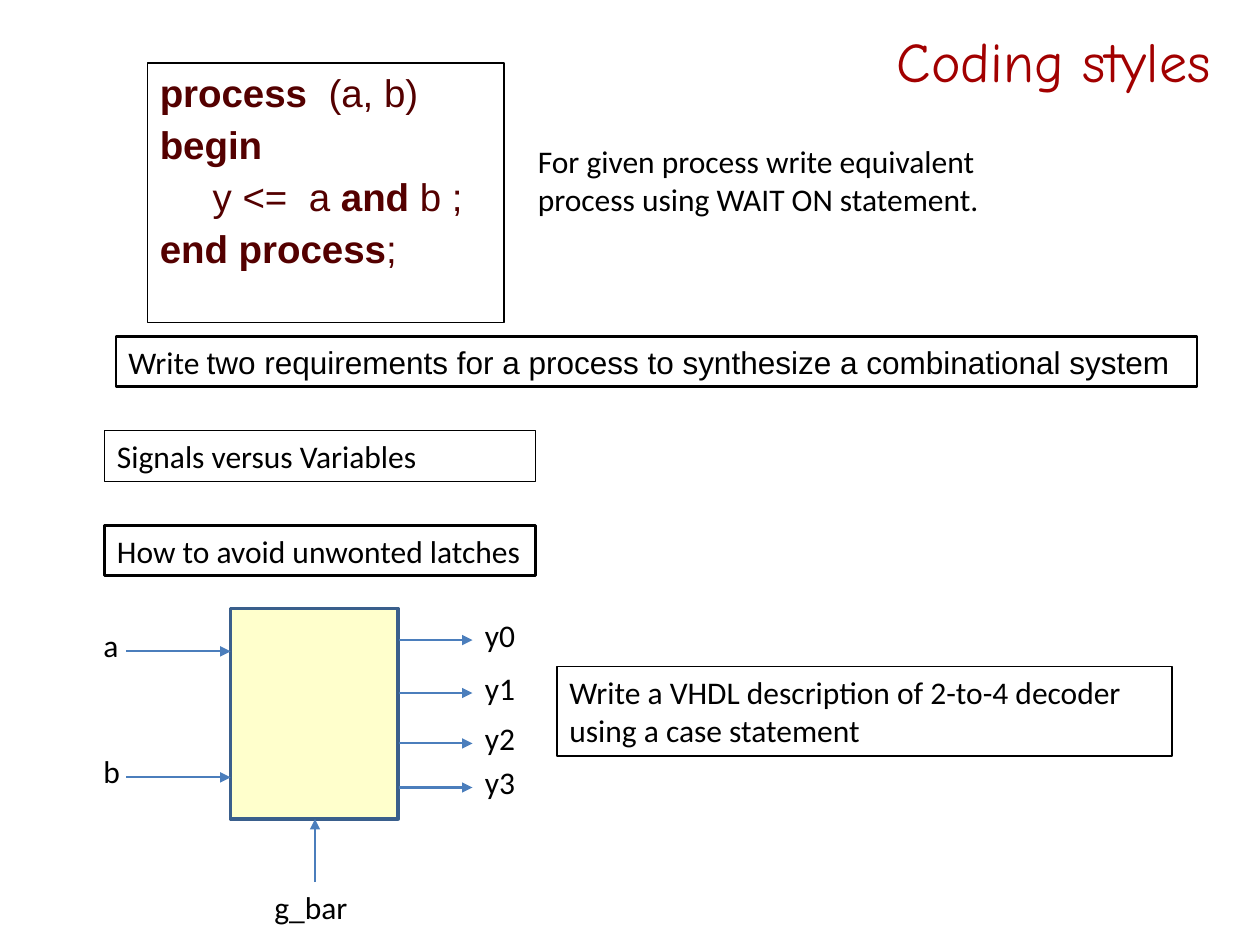
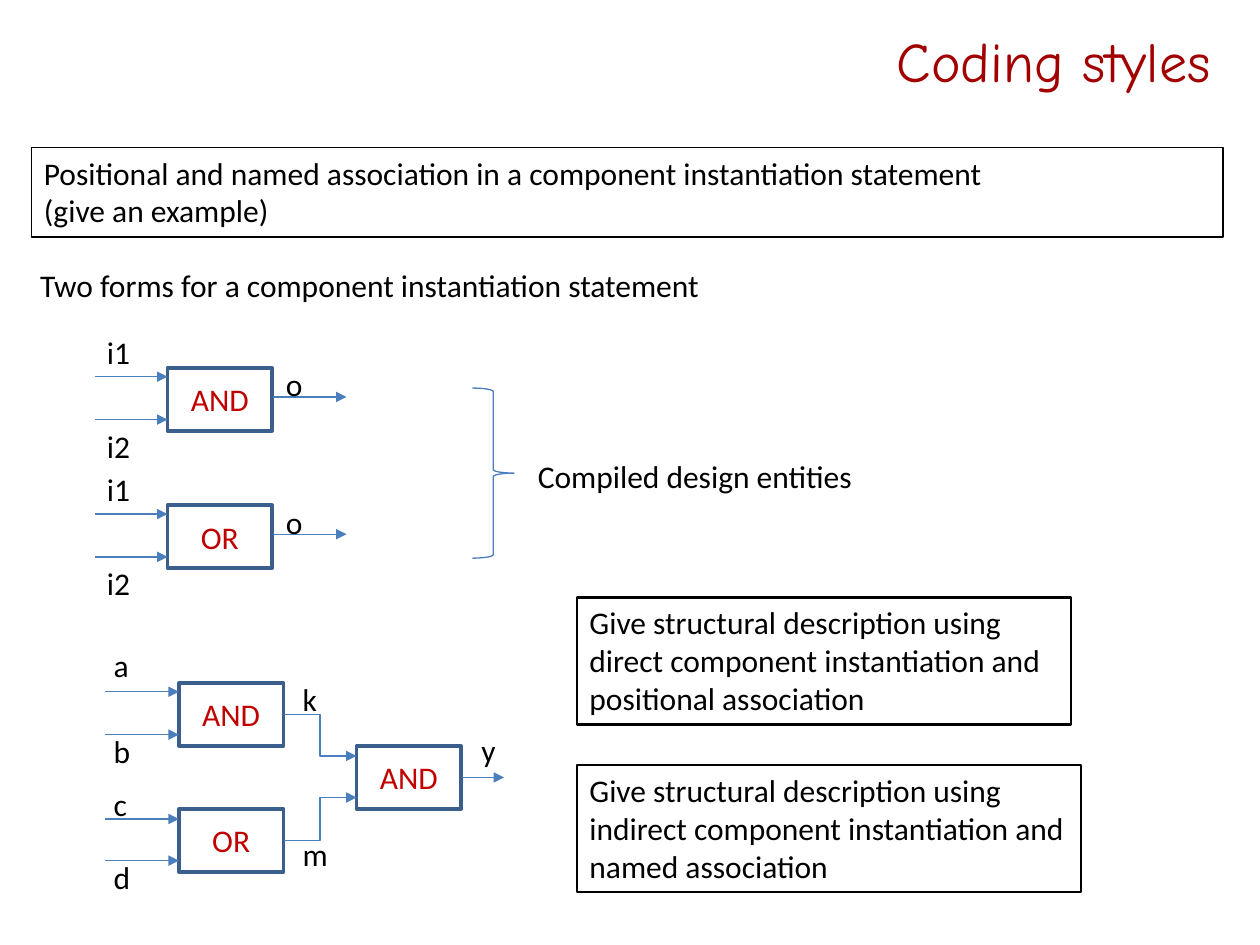
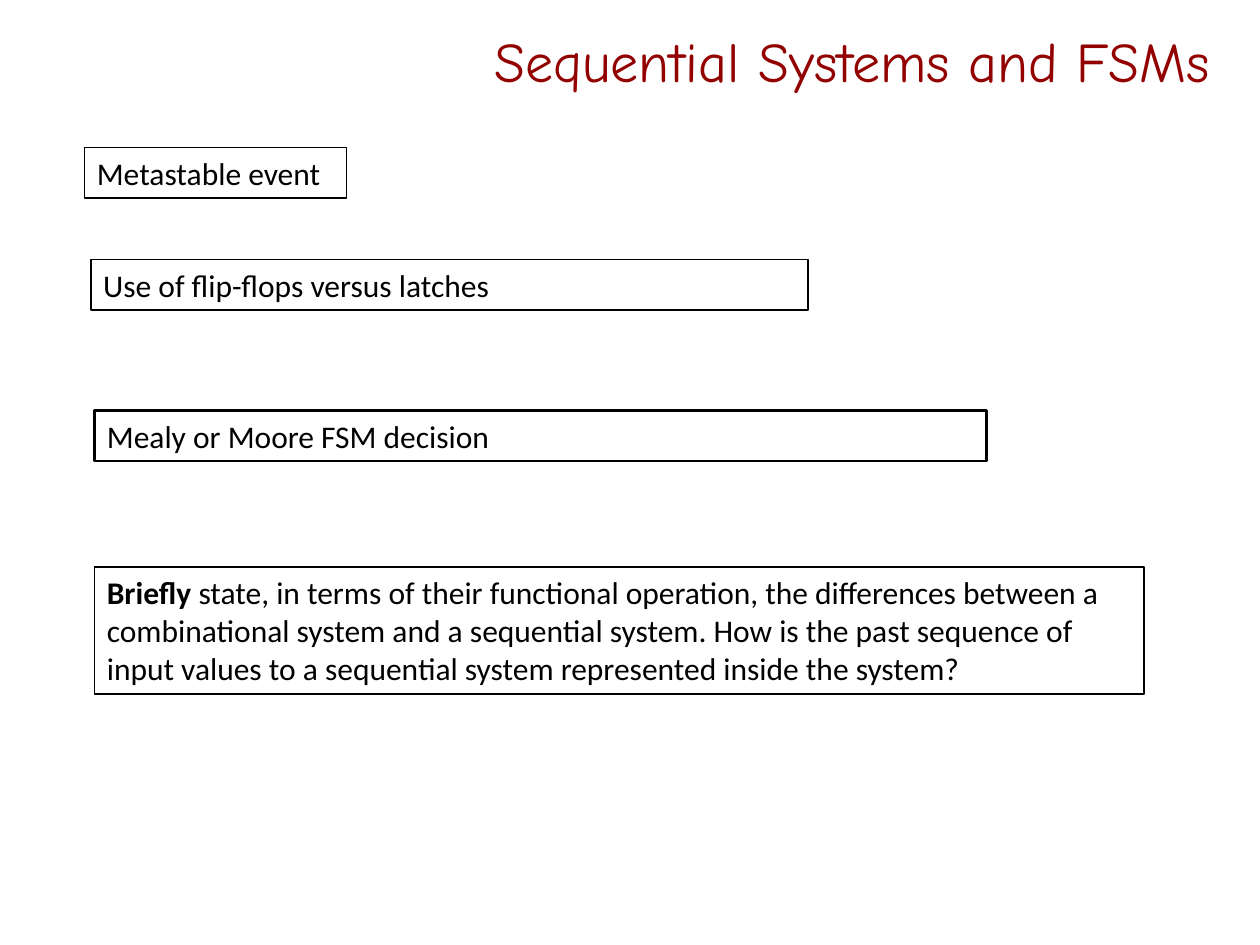
import dataclasses

import lxml.etree
import pptx
import pptx.dml.color
import pptx.enum.shapes
import pptx.enum.text
import pptx.oxml.ns
import pptx.util

Inches, Pt = pptx.util.Inches, pptx.util.Pt
Color = pptx.dml.color.RGBColor.from_string
Align, Anchor = pptx.enum.text.PP_ALIGN, pptx.enum.text.MSO_ANCHOR
Shape, Connector = pptx.enum.shapes.MSO_SHAPE, pptx.enum.shapes.MSO_CONNECTOR


@dataclasses.dataclass(frozen=True)
class Theme:
    ink: str = "000000"
    code: str = "540000"
    gate_name: str = "C00000"
    gate_line: str = "3A5F8C"
    wire: str = "4B7EBC"
    block: str = "FFFFCC"
    title_font: str = "Comic Neue"
    body_font: str = "Calibri"
    code_font: str = "Arial"
    title_size: int = 32
    code_size: int = 22
    body_size: int = 18


theme = Theme()
BODY = {"name": theme.body_font, "size": Pt(theme.body_size), "bold": False, "color": theme.ink}
CODE = BODY | {"name": theme.code_font, "size": Pt(theme.code_size), "color": theme.code}
GATE = BODY | {"color": theme.gate_name}
BOLD = {"bold": True}
LINE_HEIGHT = 0.4


def add_box(page, place, paras, style=BODY, border=None, line=theme.ink, fill=None, centred=False):
    """Add text, framed if border gives a line width; a para is a string or (text, changes) spans."""
    place = [Inches(length) for length in place]
    if border:
        box = page.shapes.add_shape(Shape.RECTANGLE, *place)
        box.shadow.inherit = False
        box.line.color.rgb = Color(line)
        box.line.width = Pt(border)
    else:
        box = page.shapes.add_textbox(*place)
    if fill:
        box.fill.solid()
        box.fill.fore_color.rgb = Color(fill)
    else:
        box.fill.background()
    frame = box.text_frame
    frame.word_wrap = True
    frame.vertical_anchor = Anchor.MIDDLE if centred else Anchor.TOP
    for number, spans in enumerate(paras):
        para = frame.paragraphs[0] if number == 0 else frame.add_paragraph()
        para.alignment = Align.CENTER if centred else Align.LEFT
        for text, changes in [(spans, {})] if isinstance(spans, str) else spans:
            span = para.add_run()
            span.text = text
            for key, value in (style | changes).items():
                if key == "color":
                    span.font.color.rgb = Color(value)
                else:
                    setattr(span.font, key, value)
    return box


def add_arrow(page, start, end, width=0.75, kind=Connector.STRAIGHT):
    arrow = page.shapes.add_connector(kind, *[Inches(length) for length in (*start, *end)])
    arrow.line.color.rgb = Color(theme.wire)
    arrow.line.width = Pt(width)
    tag = pptx.oxml.ns.qn
    lxml.etree.SubElement(arrow.line._get_or_add_ln(), tag("a:tailEnd"), type="triangle")
    lxml.etree.SubElement(arrow._element.spPr, tag("a:effectLst"))


deck = pptx.Presentation()
deck.slide_width, deck.slide_height = Inches(10), Inches(7.5)

pages = []
for heading, color in [("Coding styles", "A20000"), ("Coding styles", "A20000"),
                       ("Sequential Systems and FSMs", "920000")]:
    page = deck.slides.add_slide(deck.slide_layouts[5])
    title = page.shapes.title
    for key, length in {"left": 0.64, "top": 0.13, "width": 9.07, "height": 0.7}.items():
        setattr(title, key, Inches(length))
    title.text = heading
    title.text_frame.vertical_anchor = Anchor.MIDDLE
    para = title.text_frame.paragraphs[0]
    para.alignment = Align.RIGHT
    for key, value in {"name": theme.title_font, "size": Pt(theme.title_size)}.items():
        setattr(para.runs[0].font, key, value)
    para.runs[0].font.color.rgb = Color(color)
    pages.append(page)
process_page, component_page, sequential_page = pages

# Processes and the decoder
page = process_page
listing = add_box(page, (1.17, 0.5, 2.83, 2.06), [
    [("process ", BOLD), (" (a, b)", {})],
    [("begin", BOLD)],
    [("y <=  a", {}), (" and", BOLD), (" b ;", {})],
    [("end process", BOLD), (";", {})],
], style=CODE, border=0.75)
for para in listing.text_frame.paragraphs:
    para.space_before = Pt(3.3)
listing.text_frame.paragraphs[2]._p.get_or_add_pPr().set("marL", str(Inches(0.42)))

add_box(page, (4.17, 1.08, 4.42, 0.71),
        ["For given process write equivalent process using WAIT ON statement."])
add_box(page, (0.92, 2.67, 8.58, LINE_HEIGHT), [
    [("Write ", {}), ("two requirements for a process to synthesize a combinational system",
                      {"name": theme.code_font})]], border=1.5)
add_box(page, (0.83, 3.42, 3.42, LINE_HEIGHT), ["Signals versus Variables"], border=0.5)
add_box(page, (0.83, 4.17, 3.42, LINE_HEIGHT), ["How to avoid unwonted latches"], border=1.5)
add_box(page, (4.42, 5.29, 4.88, 0.71),
        ["Write a VHDL description of 2-to-4 decoder using a case statement"], border=1)

add_box(page, (1.83, 4.83, 1.33, 1.67), [], border=2, line=theme.gate_line, fill=theme.block)
for name, y in [("a", 5.17), ("b", 6.17)]:
    add_arrow(page, (1, y), (1.83, y), 1.25)
    add_box(page, (0.75, y - 0.25, 0.17, LINE_HEIGHT), [name])
for number, y in enumerate([5.08, 5.5, 5.9, 6.25]):
    add_arrow(page, (3.17, y), (3.75, y), 1.25)
    add_box(page, (3.75, y - 0.24, 0.5, LINE_HEIGHT), [f"y{number}"])
add_arrow(page, (2.5, 7), (2.5, 6.5), 1.5)
add_box(page, (2.08, 7, 0.83, LINE_HEIGHT), ["g_bar"])

# Component instantiation
page = component_page
add_box(page, (0.25, 1.17, 9.46, 0.71), [
    "Positional and named association in a component instantiation statement",
    "(give an example)"], border=1)
add_box(page, (0.22, 2.06, 9.25, LINE_HEIGHT),
        ["Two forms for a component instantiation statement"])
for form, association, top, width in [("direct", "positional", 4.74, 3.92),
                                      ("indirect", "named", 6.07, 4)]:
    add_box(page, (4.58, top, width, 1.01), [
        f"Give structural description using {form} component instantiation "
        f"and {association} association"], border=1.5)

for name, left, top in [("AND", 1.33, 2.92), ("OR", 1.33, 4.01),
                        ("AND", 1.42, 5.42), ("OR", 1.42, 6.42), ("AND", 2.83, 5.92)]:
    add_box(page, (left, top, 0.83, 0.5), [name], style=GATE, border=2,
            line=theme.gate_line, centred=True)

for top in (2.92, 4.01):
    for name, wire_drop, label_drop in [("i1", 0.07, -0.33), ("i2", 0.41, 0.42)]:
        add_arrow(page, (0.75, top + wire_drop), (1.33, top + wire_drop))
        add_box(page, (0.75, top + label_drop, 0.58, LINE_HEIGHT), [name])
    add_arrow(page, (2.17, top + 0.23), (2.75, top + 0.23))
    add_box(page, (2.17, top - 0.07, 0.58, LINE_HEIGHT), ["o"])

brace = page.shapes.add_shape(Shape.RIGHT_BRACE, Inches(3.75), Inches(3.08),
                              Inches(0.33), Inches(1.35))
brace.shadow.inherit = False
brace.fill.background()
brace.line.color.rgb = Color(theme.wire)
brace.line.width = Pt(0.75)
add_box(page, (4.17, 3.58, 3.92, LINE_HEIGHT), ["Compiled design entities"])

for y in (5.49, 5.83, 6.5, 6.83):
    add_arrow(page, (0.83, y), (1.42, y))
for start_y, end_y in [(5.67, 6), (6.67, 6.33)]:
    add_arrow(page, (2.25, start_y), (2.83, end_y), kind=Connector.ELBOW)
add_arrow(page, (3.67, 6.17), (4, 6.17))
for name, left, top in [("a", 0.83, 5.08), ("b", 0.83, 5.76), ("c", 0.83, 6.18), ("d", 0.83, 6.76),
                        ("k", 2.33, 5.35), ("m", 2.33, 6.58), ("y", 3.75, 5.75)]:
    add_box(page, (left, top, 0.17, LINE_HEIGHT), [name])

# Sequential systems
for place, text, border in [
    ((0.67, 1.17, 2.08, LINE_HEIGHT), "Metastable event", 1),
    ((0.72, 2.06, 5.69, LINE_HEIGHT), "Use of flip-flops versus latches", 1),
    ((0.75, 3.26, 7.08, LINE_HEIGHT), "Mealy or Moore FSM decision", 1.5),
    ((0.75, 4.5, 8.33, 1.01), [
        ("Briefly", BOLD),
        (" state, in terms of their functional operation, the differences between a "
         "combinational system and a sequential system. How is the past sequence of "
         "input values to a sequential system represented inside the system?", {})], 1),
]:
    add_box(sequential_page, place, [text], border=border)

deck.save("out.pptx")
